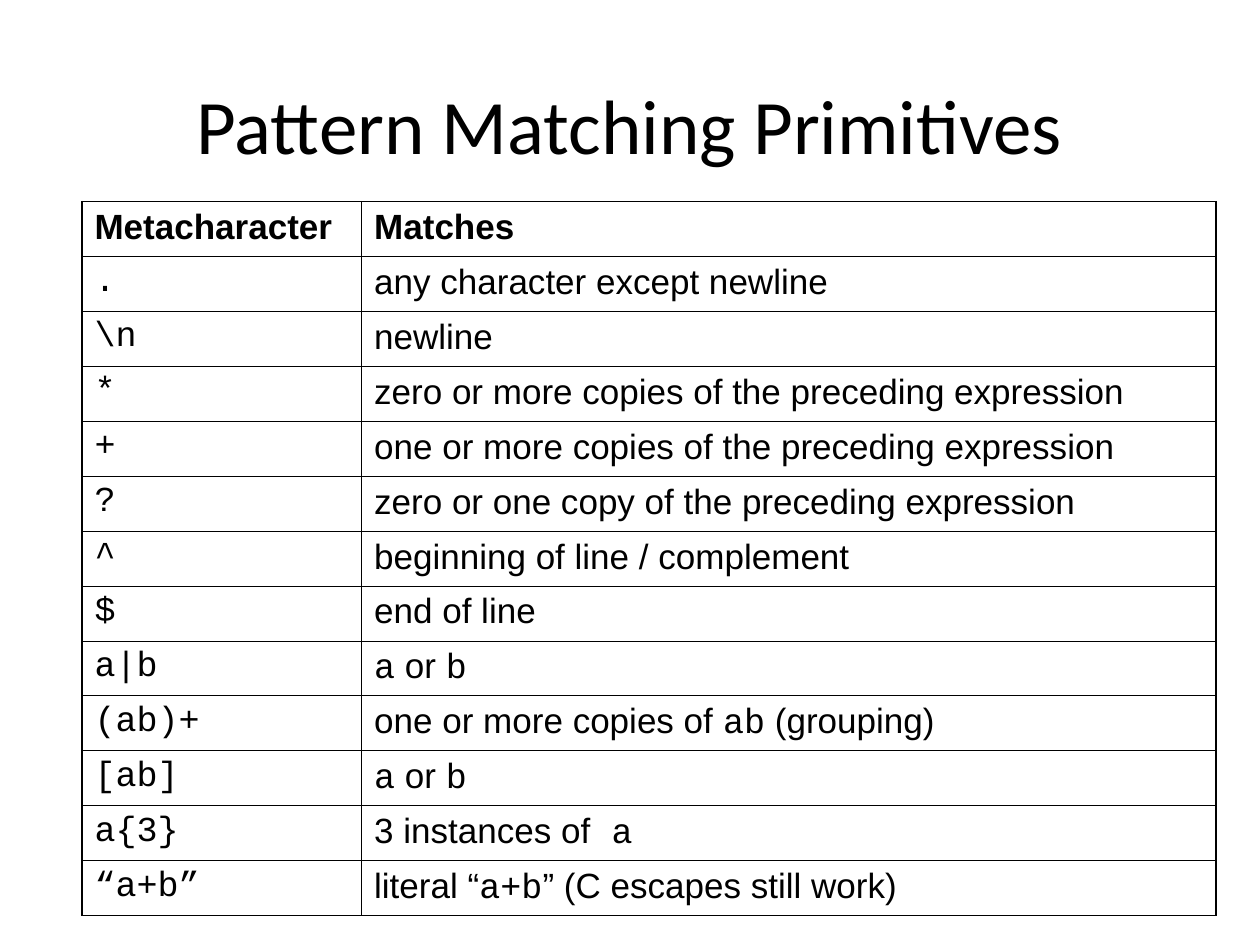
"""Build a slide with a table of pattern matching primitives."""
from dataclasses import dataclass

from lxml import etree
from pptx import Presentation
from pptx.dml.color import RGBColor
from pptx.enum.text import MSO_ANCHOR, PP_ALIGN
from pptx.oxml.ns import qn
from pptx.util import Inches, Pt

MIDDLE = MSO_ANCHOR.MIDDLE
CENTER = PP_ALIGN.CENTER


@dataclass(frozen=True)
class Theme:
    ink: str = "000000"
    paper: str = "FFFFFF"
    title_font: str = "Calibri"
    body_font: str = "Arial"
    code_font: str = "Courier New"
    title_size: int = 44
    body_size: int = 20
    outer_line: float = 1.08
    inner_line: float = 0.45


THEME = Theme()
ROWS = [
    ("Metacharacter", "Matches"),
    ("`.`", "any character except newline"),
    ("`\\n`", "newline"),
    ("`*`", "zero or more copies of the preceding expression"),
    ("`+`", "one or more copies of the preceding expression"),
    ("`?`", "zero or one copy of the preceding expression"),
    ("`^`", "beginning of line / complement"),
    ("`$`", "end of line"),
    ("`a|b`", "`a` or `b`"),
    ("`(ab)+`", "one or more copies of `ab` (grouping)"),
    ("`[ab]`", "`a` or `b`"),
    ("`a{3}`", "3 instances of` a`"),
    ("`“a+b”`", "literal “`a+b`” (C escapes still work)"),
]
COLUMN_WIDTHS = [2.22, 6.78]
TABLE_HEIGHT = 5.67


def add_span(para, text, **formats):
    span = para.add_run()
    span.text = text
    for name, value in formats.items():
        setattr(span.font, name, value)
    span.font.color.rgb = RGBColor.from_string(THEME.ink)


def add_border(cell, side, width):
    props = cell._tc.get_or_add_tcPr()
    line = etree.Element(qn(f"a:ln{side}"), w=str(int(Pt(width))))
    fill = etree.SubElement(line, qn("a:solidFill"))
    etree.SubElement(fill, qn("a:srgbClr"), val=THEME.ink)
    props.insert("LRTB".index(side), line)


deck = Presentation()
deck.slide_width, deck.slide_height = Inches(10), Inches(7.5)
page = deck.slides.add_slide(deck.slide_layouts[6])

title_box = page.shapes.add_textbox(Inches(0.75), Inches(0.36), Inches(8.5), Inches(1.25))
title_box.text_frame.word_wrap = True
title_box.text_frame.vertical_anchor = MIDDLE
title_para = title_box.text_frame.paragraphs[0]
title_para.alignment = CENTER
add_span(title_para, "Pattern Matching Primitives",
         name=THEME.title_font, size=Pt(THEME.title_size))

table = page.shapes.add_table(len(ROWS), len(COLUMN_WIDTHS), Inches(0.65), Inches(1.6),
                              Inches(sum(COLUMN_WIDTHS)), Inches(TABLE_HEIGHT)).table
table.horz_banding = False
for column, width in zip(table.columns, COLUMN_WIDTHS):
    column.width = Inches(width)

for row_index, texts in enumerate(ROWS):
    for column_index, text in enumerate(texts):
        cell = table.cell(row_index, column_index)
        cell.fill.solid()
        cell.fill.fore_color.rgb = RGBColor.from_string(THEME.paper)
        outer_sides = {
            "L": column_index == 0,
            "R": column_index == len(COLUMN_WIDTHS) - 1,
            "T": row_index == 0,
            "B": row_index == len(ROWS) - 1,
        }
        for side, is_outer in outer_sides.items():
            add_border(cell, side, THEME.outer_line if is_outer else THEME.inner_line)
        para = cell.text_frame.paragraphs[0]
        para.space_before = Pt(5)
        for part_index, part in enumerate(text.split("`")):
            if part:
                font = THEME.code_font if part_index % 2 else THEME.body_font
                add_span(para, part, name=font, size=Pt(THEME.body_size), bold=row_index == 0)

deck.save("out.pptx")
